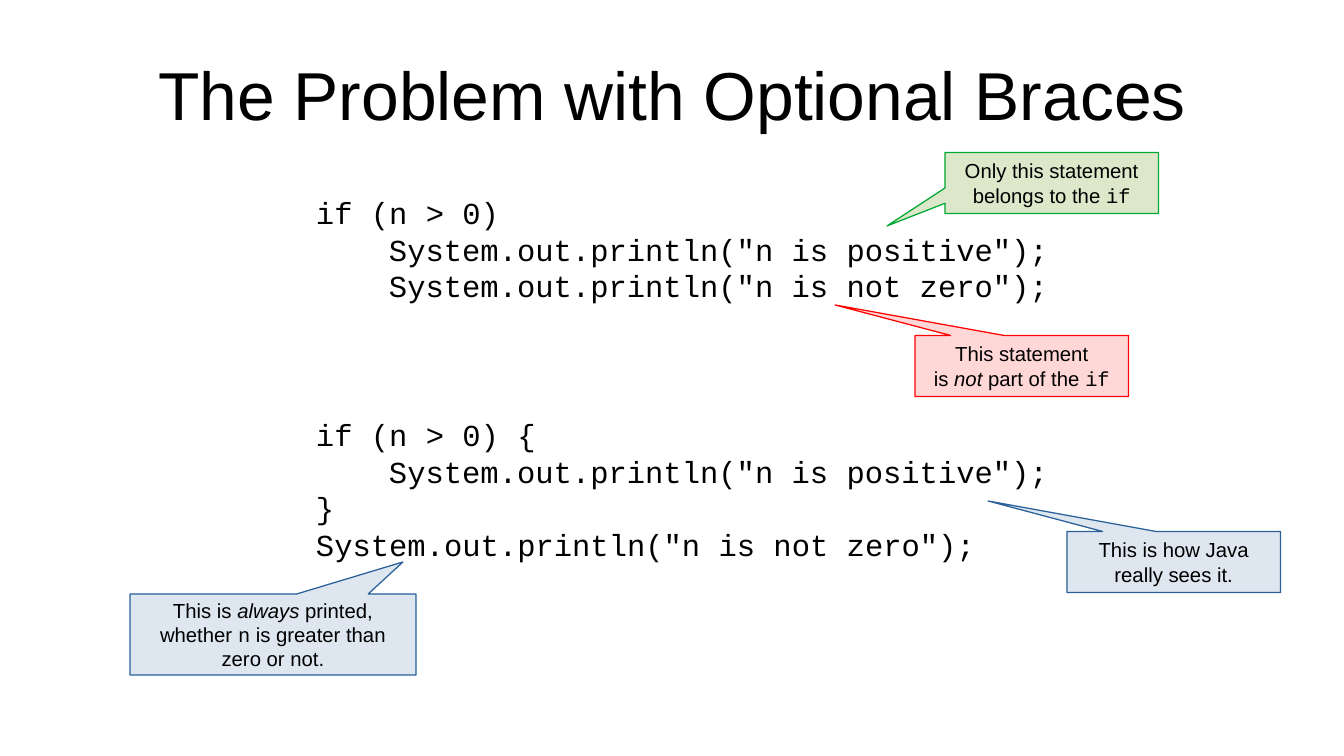
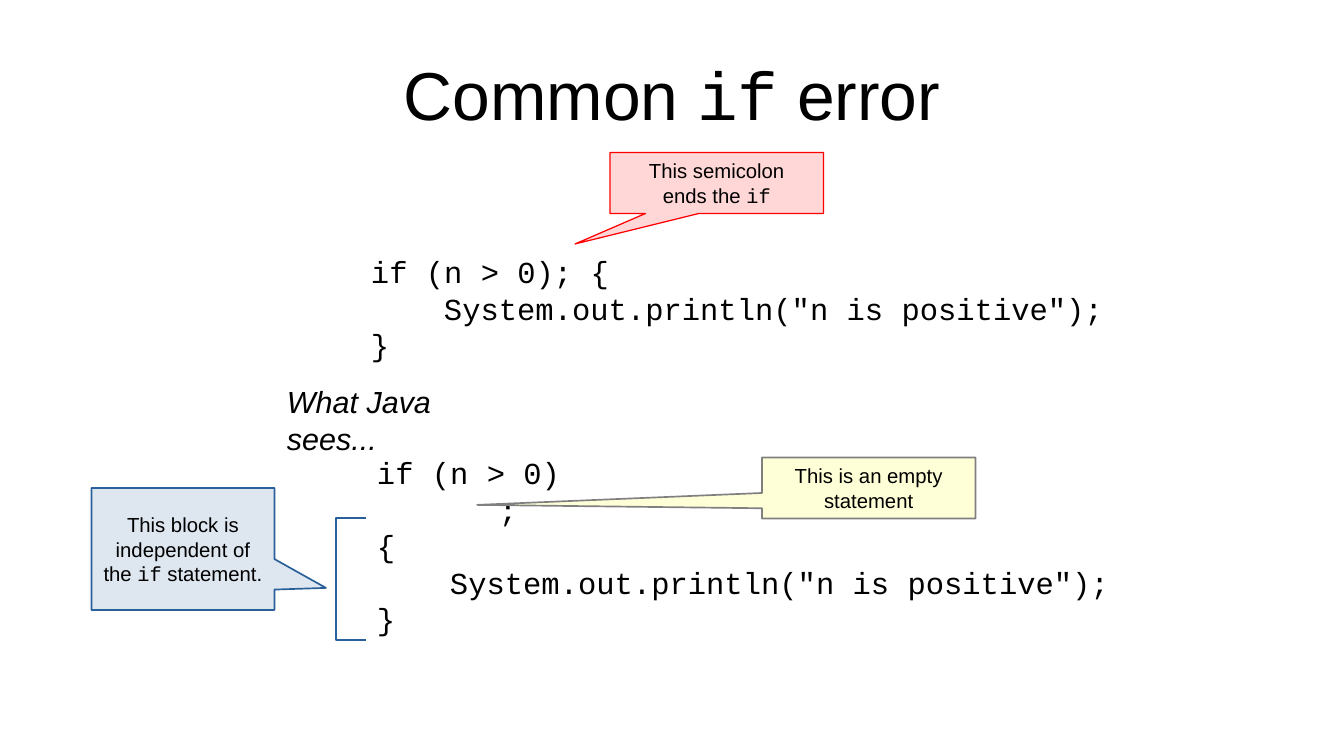
from pptx import Presentation
from pptx.dml.color import RGBColor
from pptx.enum.shapes import MSO_SHAPE
from pptx.enum.text import MSO_ANCHOR, PP_ALIGN
from pptx.util import Pt

UNIT = 7495  # EMU per pixel, 122 pixels to the inch
SANS, MONO = "Arial", "Courier New"
INK = "000000"
GREEN = ("DDE8CB", "00A933")
RED = ("FFD7D7", "FF0000")
BLUE = ("DEE6EF", "2A6099")
YELLOW = ("FFFFD7", "808080")
STEP, TAB = 73, 122  # four code characters, one tab stop
POSITIVE = (STEP, 'System.out.println("n is positive");')
NOT_ZERO = 'System.out.println("n is not zero");'


def px(*sizes):
    """Turn pixels into EMU."""
    return [round(size * UNIT) for size in sizes]


def hue(code):
    """Turn a hex string into a colour."""
    return RGBColor.from_string(code)


def mono(text):
    """Mark a run as code."""
    return text, MONO, False


def slant(text):
    """Mark a run as italic."""
    return text, SANS, True


class Deck:
    """Holds the shared style and the current slide."""

    def __init__(self, wide, high):
        """Set the slide size."""
        self.show = Presentation()
        self.show.slide_width, self.show.slide_height = px(wide, high)
        self.page = None

    def start(self, *title):
        """Add a blank slide with its centred title."""
        self.page = self.show.slides.add_slide(self.show.slide_layouts[6])
        box = self.page.shapes.add_textbox(*px(67, 30, 1210, 127))
        self.fill_text(box, [title], 40, PP_ALIGN.CENTER, MSO_ANCHOR.MIDDLE, (0, 0))

    def fill_text(self, shape, lines, size, align=PP_ALIGN.LEFT,
                  anchor=MSO_ANCHOR.TOP, inset=(12, 6), wrap=True):
        """Fill a shape with lines; each line is a list of runs."""
        frame = shape.text_frame
        frame.word_wrap = wrap
        frame.vertical_anchor = anchor
        frame.margin_left = frame.margin_right = px(inset[0])[0]
        frame.margin_top = frame.margin_bottom = px(inset[1])[0]
        for i, line in enumerate(lines):
            para = frame.add_paragraph() if i else frame.paragraphs[0]
            para.alignment = align
            for part in line:
                text, face, tilt = (part, SANS, False) if isinstance(part, str) else part
                run = para.add_run()
                run.text = text
                font = run.font
                font.name, font.size, font.italic = face, Pt(size), tilt
                font.color.rgb = hue(INK)

    def code(self, left, top, high, *lines):
        """Add a code block; an indented line is (indent, text)."""
        box = self.page.shapes.add_textbox(*px(left, top, 764, high))
        pairs = [(0, line) if isinstance(line, str) else line for line in lines]
        self.fill_text(box, [[mono(text)] for _, text in pairs], 18)
        for para, (indent, _) in zip(box.text_frame.paragraphs, pairs):
            if indent:
                para._p.get_or_add_pPr().set("marL", str(px(indent)[0]))

    def label(self, left, top, wide, high, *line):
        """Add one line of plain text."""
        box = self.page.shapes.add_textbox(*px(left, top, wide, high))
        self.fill_text(box, [line], 18)

    def call(self, left, top, tip, tint, *lines, wide=213.5, high=61, line=0.75):
        """Add a callout whose pointer ends at tip."""
        shape = self.page.shapes.add_shape(
            MSO_SHAPE.RECTANGULAR_CALLOUT, *px(left, top, wide, high))
        shape.adjustments[0] = (tip[0] - left) / wide - 0.5
        shape.adjustments[1] = (tip[1] - top) / high - 0.5
        shape.shadow.inherit = False
        shape.fill.solid()
        shape.fill.fore_color.rgb = hue(tint[0])
        shape.line.color.rgb = hue(tint[1])
        shape.line.width = Pt(line)
        self.fill_text(shape, lines, 12, PP_ALIGN.CENTER, MSO_ANCHOR.MIDDLE, wrap=False)

    def brace(self, left, top, wide, high, tint):
        """Add a square bracket that opens to the right."""
        right, base = left + wide, top + high
        pen = self.page.shapes.build_freeform(*px(right, top), scale=1.0)
        pen.add_line_segments(
            [px(left, top), px(left, base), px(right, base)], close=False)
        shape = pen.convert_to_shape()
        shape.shadow.inherit = False
        shape.fill.background()
        shape.line.color.rgb = hue(tint)
        shape.line.width = Pt(1.5)


deck = Deck(1344, 756)

deck.start("The Problem with Optional Braces")
deck.code(304, 188, 150, "if (n > 0)", POSITIVE, (STEP, NOT_ZERO))
deck.call(945, 152.5, (887, 226), GREEN,
          ["Only this statement"], ["belongs to the ", mono("if")])
deck.call(915, 335.5, (835, 305), RED,
          ["This statement"], ["is ", slant("not"), " part of the ", mono("if")])
deck.code(304, 410, 185, "if (n > 0) {", POSITIVE, "}", NOT_ZERO)
deck.call(1067, 531.5, (988, 501), BLUE, ["This is how Java"], ["really sees it."])
deck.call(130, 594, (403, 562), BLUE,
          ["This is ", slant("always"), " printed,"],
          ["whether ", mono("n"), " is greater than"],
          ["zero or not."], wide=286, high=81)

deck.start("Common ", mono("if"), " error")
deck.code(359, 247, 120, "if (n > 0); {", POSITIVE, "}")
deck.call(610, 152.5, (575, 244), RED, ["This semicolon"], ["ends the ", mono("if")])
deck.code(365, 448, 220, "if (n > 0)", (TAB, ";"), "{", POSITIVE, "}")
deck.call(762, 457.5, (477, 505), YELLOW,
          ["This is an empty"], ["statement"], line=1)
deck.brace(336, 518, 30, 122, BLUE[1])
deck.call(91.5, 488, (326, 588), BLUE,
          ["This block is"], ["independent of"], ["the ", mono("if"), " statement."],
          wide=183, high=122, line=1)
deck.label(275, 377, 266, 46, slant("What Java sees..."))

deck.show.save("out.pptx")
